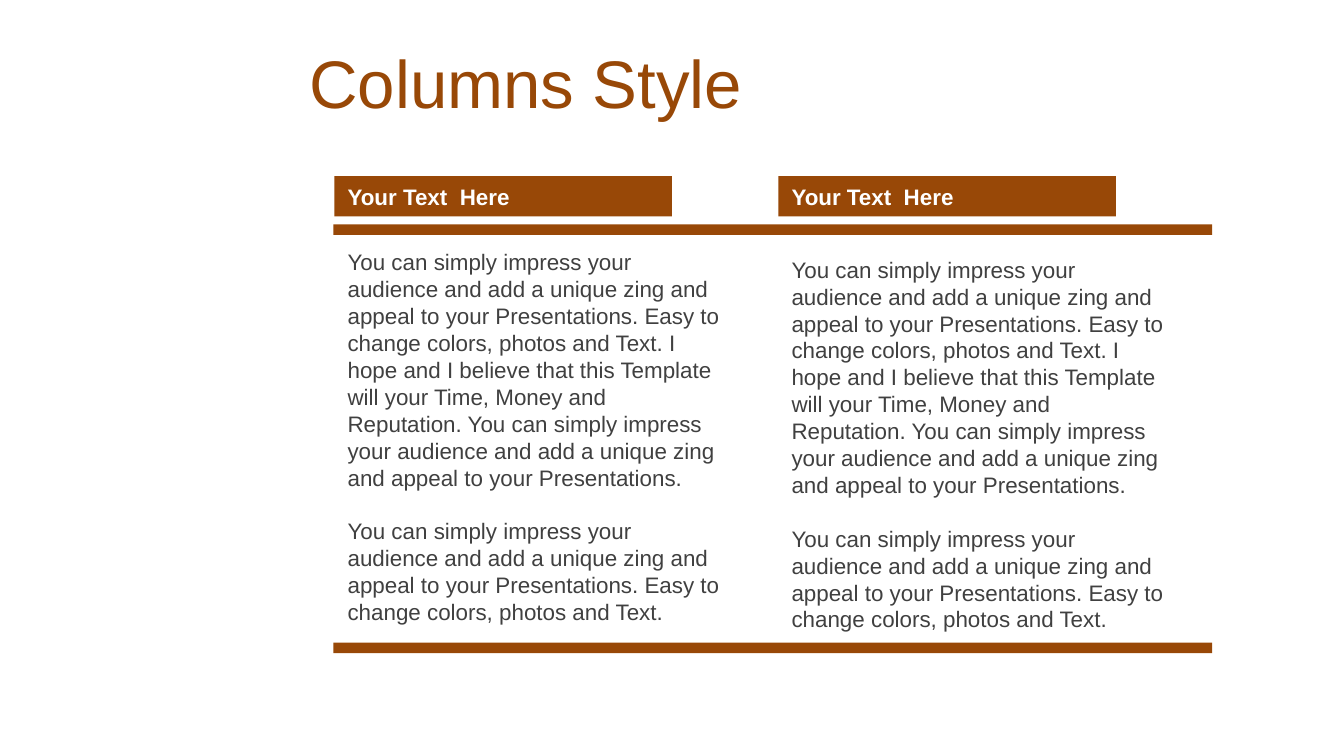
from pptx import Presentation
from pptx.dml.color import RGBColor
from pptx.enum.shapes import MSO_SHAPE
from pptx.enum.text import MSO_ANCHOR, PP_ALIGN
from pptx.util import Cm, Pt

RECTANGLE = MSO_SHAPE.RECTANGLE
TOP, MIDDLE = MSO_ANCHOR.TOP, MSO_ANCHOR.MIDDLE
LEFT = PP_ALIGN.LEFT

BROWN, WHITE, GREY = "984807", "FFFFFF", "404040"
TITLE_FORMAT = {"name": "Arial", "size": Pt(36), "bold": False}
HEADING_FORMAT = {"name": "Arial", "size": Pt(12), "bold": True}
BODY_FORMAT = {"name": "Arial", "size": Pt(12), "bold": False}
PARAGRAPH_GAP = Pt(14.4)

INTRO = ("You can simply impress your audience and add a unique zing and appeal "
         "to your Presentations.")
CLOSING = f"{INTRO} Easy to change colors, photos and Text."
BODY = [
    f"{CLOSING} I hope and I believe that this Template will your Time, "
    f"Money and Reputation. {INTRO}",
    CLOSING,
]
HEADING = "Your Text  Here"


def color(hex_text):
    return RGBColor.from_string(hex_text)


def write(shape, texts, font_format, font_color, anchor=TOP):
    frame = shape.text_frame
    frame.word_wrap = True
    frame.vertical_anchor = anchor
    for index, text in enumerate(texts):
        para = frame.add_paragraph() if index else frame.paragraphs[0]
        para.alignment = LEFT
        para.space_before = PARAGRAPH_GAP if index else Pt(0)
        span = para.add_run()
        span.text = text
        for name, value in font_format.items():
            setattr(span.font, name, value)
        span.font.color.rgb = color(font_color)


def add_bar(page, left, top, width, height):
    bar = page.shapes.add_shape(RECTANGLE, left, top, width, height)
    bar.shadow.inherit = False
    bar.fill.solid()
    bar.fill.fore_color.rgb = color(BROWN)
    bar.line.fill.background()
    return bar


def place_title(page, left, top, width, height):
    title = page.shapes.title
    title.left, title.top, title.width, title.height = left, top, width, height
    write(title, ["Columns Style"], TITLE_FORMAT, BROWN, MIDDLE)


def add_column(page, left, top, width, height, body_offset):
    """Place a heading bar and, body_offset below its top, the body text."""
    heading = add_bar(page, left, top, Cm(6.38), Cm(0.76))
    write(heading, [HEADING], HEADING_FORMAT, WHITE)
    body = page.shapes.add_textbox(left, top + body_offset, width, height - body_offset)
    write(body, BODY, BODY_FORMAT, GREY)


def main():
    deck = Presentation()
    deck.slide_width, deck.slide_height = Cm(25.4), Cm(14.28)
    page = deck.slides.add_slide(deck.slide_layouts[5])
    place_title(page, Cm(5.59), Cm(0.74), Cm(18.69), Cm(1.6))
    for top in (4.24, 12.14):
        add_bar(page, Cm(6.3), Cm(top), Cm(16.61), Cm(0.2))
    for left, body_offset in ((6.32, 1.24), (14.71, 1.38)):
        add_column(page, Cm(left), Cm(3.33), Cm(7.59), Cm(8.75), Cm(body_offset))
    deck.save("out.pptx")


if __name__ == "__main__":
    main()
